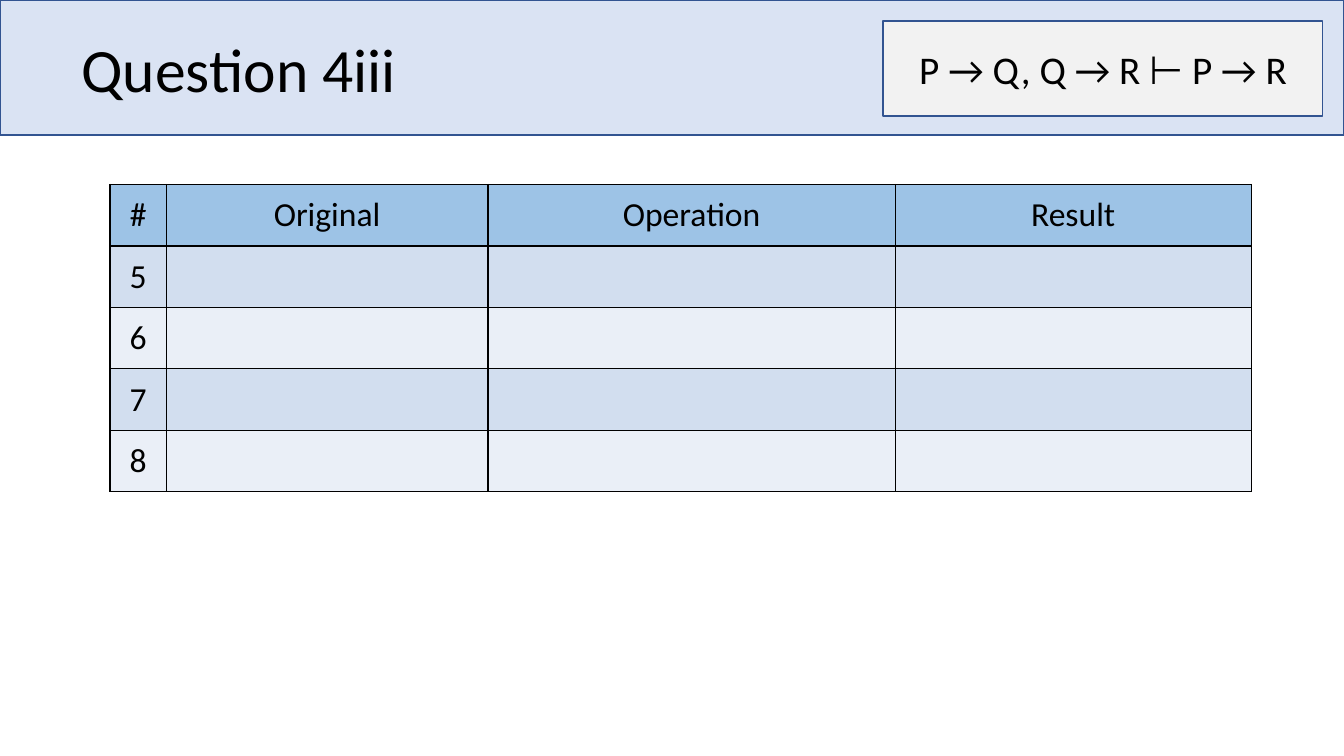
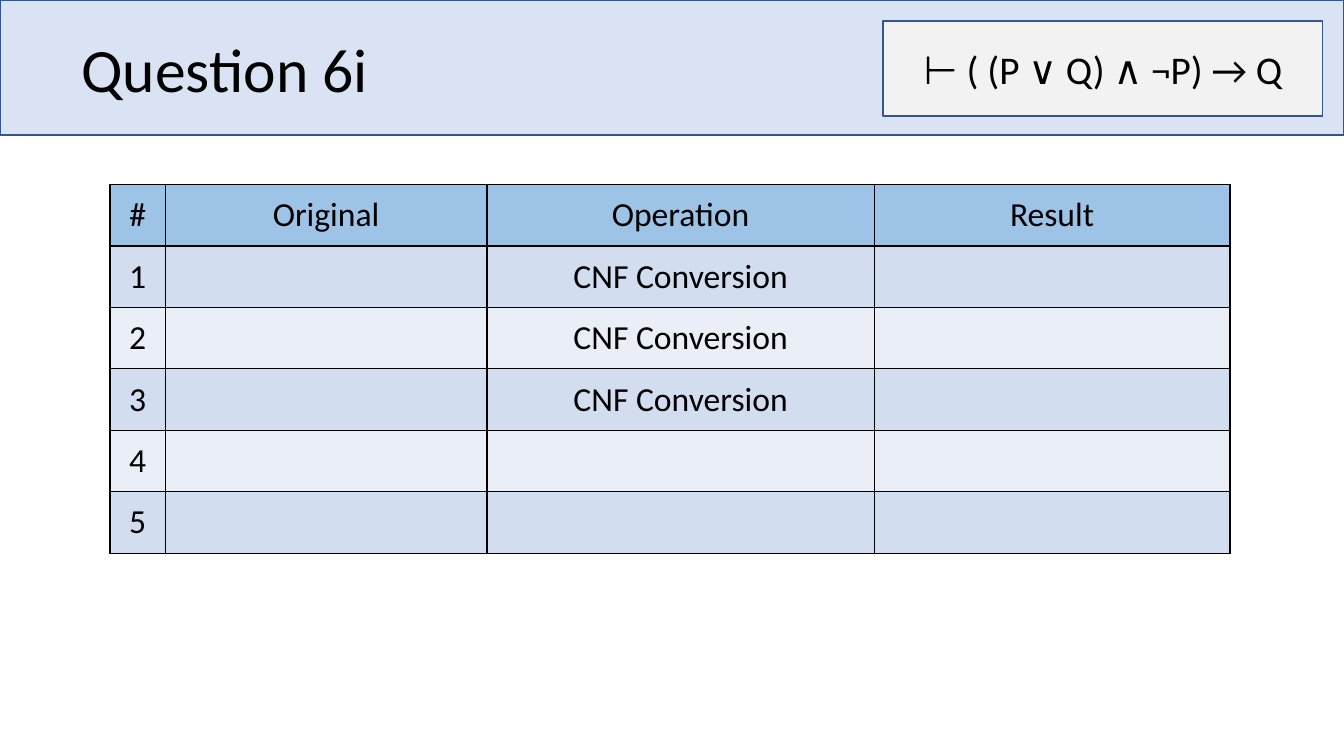
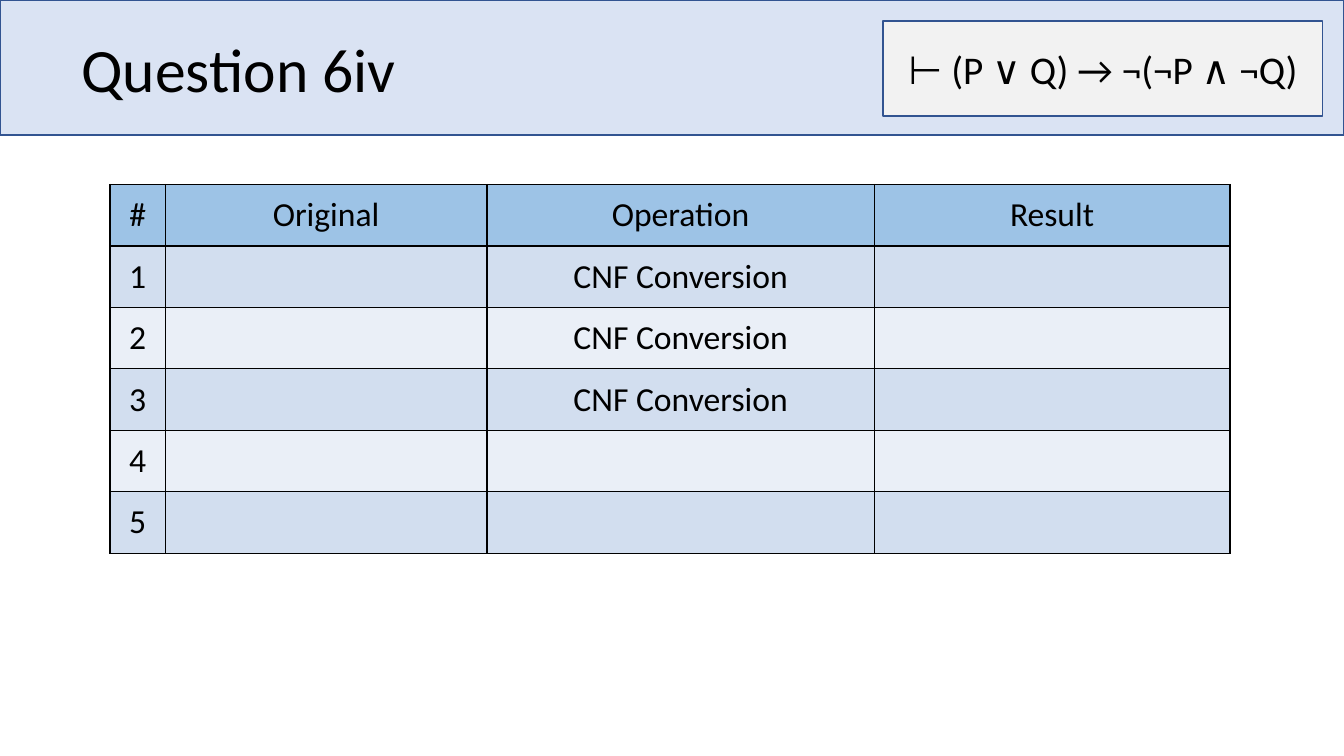
from dataclasses import dataclass

from lxml import etree
from pptx import Presentation
from pptx.dml.color import RGBColor
from pptx.enum.shapes import MSO_SHAPE
from pptx.enum.text import MSO_ANCHOR, PP_ALIGN
from pptx.oxml.ns import qn
from pptx.util import Inches, Pt

RECTANGLE = MSO_SHAPE.RECTANGLE
MIDDLE = MSO_ANCHOR.MIDDLE
LEFT, CENTER = PP_ALIGN.LEFT, PP_ALIGN.CENTER

HEADINGS = ("#", "Original", "Operation", "Result")
CNF = "CNF Conversion"
CNF_STEPS = [(1, CNF), (2, CNF), (3, CNF), (4, ""), (5, "")]
RESOLUTION_STEPS = [(number, "") for number in range(5, 9)]
RESOLUTION_COLUMNS = (0.56, 3.19, 4.04, 3.53)
CNF_COLUMNS = (0.55, 3.19, 3.84, 3.53)

QUESTIONS = [
    ("Question 4iii", "P → Q, Q → R ⊢ P → R", RESOLUTION_COLUMNS, RESOLUTION_STEPS),
    ("Question 6i", "⊢ ( (P ∨ Q) ∧ ¬P) → Q", CNF_COLUMNS, CNF_STEPS),
    ("Question 6iv", "⊢ (P ∨ Q) → ¬(¬P ∧ ¬Q)", CNF_COLUMNS, CNF_STEPS),
]


@dataclass(frozen=True)
class Theme:
    font: str = "Calibri"
    text: str = "000000"
    band: str = "DAE3F3"
    outline: str = "325491"
    formula: str = "F2F2F2"
    heading: str = "9DC3E6"
    stripes: tuple = ("D2DEEF", "EAEFF7")
    line_width: int = 1
    title_size: int = 44
    formula_size: int = 28
    table_size: int = 24


THEME = Theme()
SLIDE_WIDTH, SLIDE_HEIGHT = 13.33, 7.5
BAND_BOX = (0, 0, SLIDE_WIDTH, 1.34)
TITLE_BOX = (0.71, -0.01, 11.5, 1.45)
FORMULA_BOX = (8.76, 0.21, 4.36, 0.94)
TABLE_LEFT, TABLE_TOP, ROW_HEIGHT = 1.09, 1.83, 0.61


def inches(values):
    return [Inches(value) for value in values]


def write(frame, text, size, align=CENTER):
    paragraph = frame.paragraphs[0]
    paragraph.text = text
    paragraph.alignment = align
    paragraph.font.name = THEME.font
    paragraph.font.size = Pt(size)
    paragraph.font.color.rgb = RGBColor.from_string(THEME.text)
    return paragraph


def add_panel(slide, box, color):
    panel = slide.shapes.add_shape(RECTANGLE, *inches(box))
    panel.shadow.inherit = False
    panel.fill.solid()
    panel.fill.fore_color.rgb = RGBColor.from_string(color)
    panel.line.color.rgb = RGBColor.from_string(THEME.outline)
    panel.line.width = Pt(THEME.line_width)
    return panel


def add_header(slide, title, formula):
    add_panel(slide, BAND_BOX, THEME.band)

    title_frame = slide.shapes.add_textbox(*inches(TITLE_BOX)).text_frame
    title_frame.word_wrap = True
    title_frame.vertical_anchor = MIDDLE
    write(title_frame, title, THEME.title_size, LEFT).line_spacing = 0.9

    formula_frame = add_panel(slide, FORMULA_BOX, THEME.formula).text_frame
    formula_frame.word_wrap = True
    formula_frame.vertical_anchor = MIDDLE
    write(formula_frame, formula, THEME.formula_size)


def add_borders(cell):
    properties = cell._tc.get_or_add_tcPr()
    for side in ("a:lnL", "a:lnR", "a:lnT", "a:lnB"):
        border = etree.SubElement(properties, qn(side), w=str(Pt(THEME.line_width)))
        fill = etree.SubElement(border, qn("a:solidFill"))
        etree.SubElement(fill, qn("a:srgbClr"), val=THEME.text)


def add_proof(slide, column_widths, steps):
    rows = [HEADINGS] + [(str(number), "", operation, "") for number, operation in steps]
    box = (TABLE_LEFT, TABLE_TOP, sum(column_widths), ROW_HEIGHT * len(rows))
    proof = slide.shapes.add_table(len(rows), len(HEADINGS), *inches(box)).table
    for column, width in zip(proof.columns, column_widths):
        column.width = Inches(width)
    for index, texts in enumerate(rows):
        proof.rows[index].height = Inches(ROW_HEIGHT)
        color = THEME.stripes[(index - 1) % 2] if index else THEME.heading
        for cell, text in zip(proof.rows[index].cells, texts):
            add_borders(cell)
            cell.fill.solid()
            cell.fill.fore_color.rgb = RGBColor.from_string(color)
            cell.vertical_anchor = MIDDLE
            write(cell.text_frame, text, THEME.table_size).font.bold = False


def main():
    deck = Presentation()
    deck.slide_width, deck.slide_height = inches((SLIDE_WIDTH, SLIDE_HEIGHT))
    blank = deck.slide_layouts[6]
    for title, formula, column_widths, steps in QUESTIONS:
        slide = deck.slides.add_slide(blank)
        add_header(slide, title, formula)
        add_proof(slide, column_widths, steps)
    deck.save("out.pptx")


if __name__ == "__main__":
    main()
